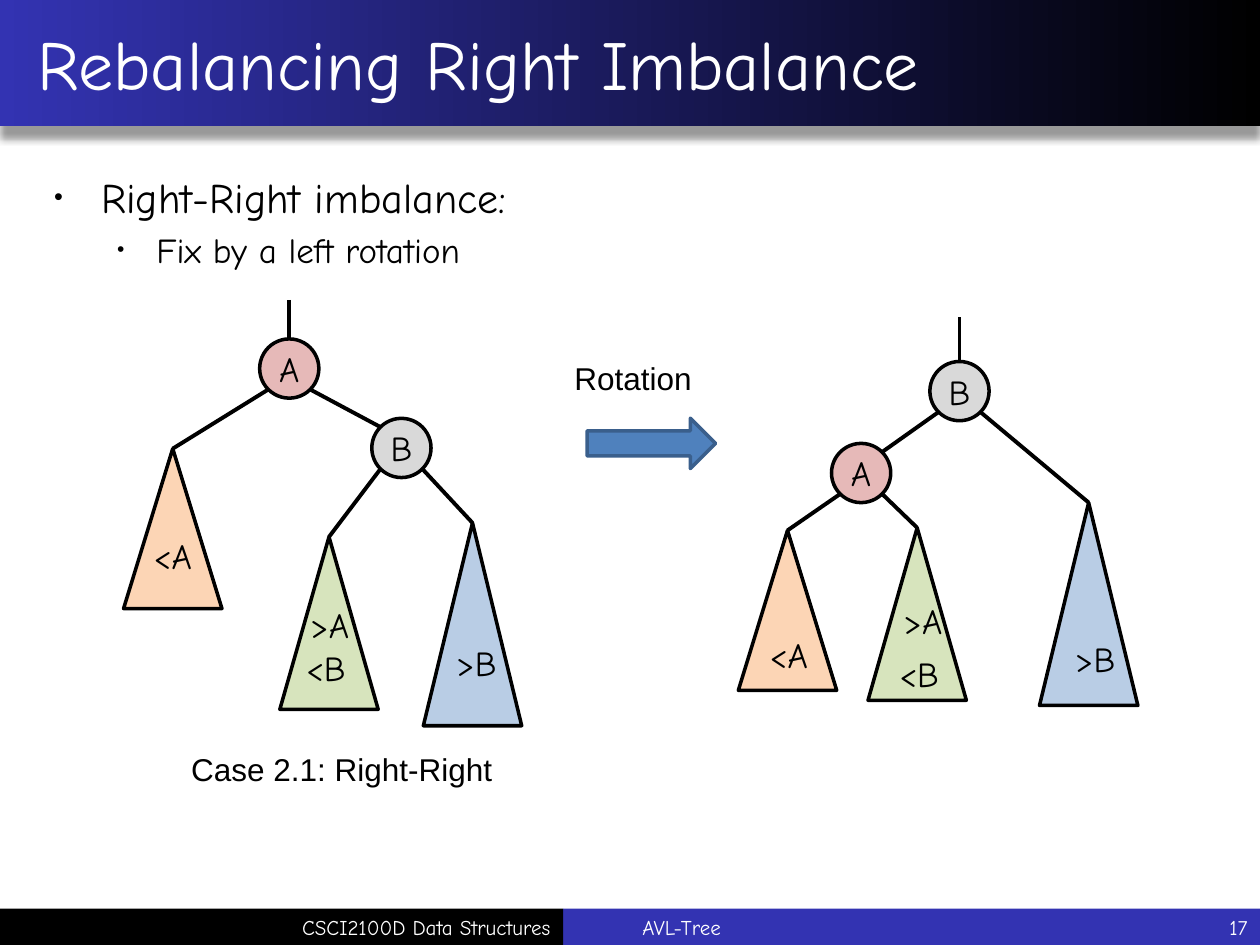
import math

import lxml.etree
import pptx
import pptx.dml.color
import pptx.enum.shapes
import pptx.enum.text
import pptx.oxml.ns
import pptx.util

Pt = pptx.util.Pt
qn = pptx.oxml.ns.qn
SHAPE = pptx.enum.shapes.MSO_SHAPE
ALIGN = pptx.enum.text.PP_ALIGN
ANCHOR = pptx.enum.text.MSO_ANCHOR
FIT = pptx.enum.text.MSO_AUTO_SIZE

COLORS = {"black": "000000", "white": "FFFFFF", "navy": "3333B2", "arrow": "4F81BD",
          "arrow_line": "3A5F8C", "A": "E6B9B8", "B": "D9D9D9",
          "low": "FCD5B5", "middle": "D7E4BD", "high": "B9CDE5"}
HAND = "Comic Neue"
NODE_SIZE = 33.84
SUBTREE_WIDTH = 56.2
SUBTREE_HEIGHTS = {"low": 91.4, "middle": 98.6, "high": 115.9}
LEFT_TREE = {
    "nodes": {"A": (94.7, 39.2), "B": (158.8, 84.6)},
    "root": "A",
    "inner_edge": ("A", "B", 1),
    "subtrees": [
        ("low", "A", -1, (28.1, 85), [("<A", -18, 45.4)]),
        ("middle", "B", -1, (117.4, 135.4), [("<B", -20.2, 59), (">A", -18, 34.6)]),
        ("high", "B", 1, (199.4, 127.4), [(">B", -16.6, 64.1)]),
    ],
}
RIGHT_TREE = {
    "nodes": {"A": (70.2, 88.9), "B": (126.4, 42.1)},
    "root": "B",
    "inner_edge": ("B", "A", -1),
    "subtrees": [
        ("low", "A", -1, (28.1, 121.7), [("<A", -17.3, 55.4)]),
        ("middle", "A", 1, (102.2, 120.2), [("<B", -17.3, 67.7), (">A", -15.1, 37.4)]),
        ("high", "B", 1, (200.2, 105.8), [(">B", -15.1, 73.4)]),
    ],
}


def color(name):
    """Return the named colour."""
    return pptx.dml.color.RGBColor.from_string(COLORS[name])


def apply(target, values):
    """Set each attribute of the target from a dict."""
    for name, value in values.items():
        setattr(target, name, value)


def write(paragraph, text, size, font=HAND, ink="black", **values):
    """Fill a paragraph with formatted text."""
    paragraph.text = text
    apply(paragraph, values)
    apply(paragraph.font, {"size": Pt(size), "name": font})
    paragraph.font.color.rgb = color(ink)


def add_text(shapes, box, text, size, font=HAND, ink="black", anchor=ANCHOR.TOP,
             fit=FIT.SHAPE_TO_FIT_TEXT, **values):
    """Add a one-paragraph text box."""
    frame = shapes.add_textbox(*map(Pt, box)).text_frame
    apply(frame, {"word_wrap": True, "auto_size": fit, "vertical_anchor": anchor})
    write(frame.paragraphs[0], text, size, font, ink, **values)


def add_filled(shapes, kind, box, fill, line=None):
    """Add a flat preset shape, outlined when a line colour is given."""
    shape = shapes.add_shape(kind, *map(Pt, box))
    shape.shadow.inherit = False
    shape.fill.solid()
    shape.fill.fore_color.rgb = color(fill)
    if line:
        shape.line.color.rgb = color(line)
        shape.line.width = Pt(2)
    else:
        shape.line.fill.background()
    return shape


def add_edge(shapes, start, end):
    """Add a straight black tree edge."""
    edge = shapes.add_connector(pptx.enum.shapes.MSO_CONNECTOR.STRAIGHT,
                                *map(Pt, (*start, *end)))
    edge.line.color.rgb = color("black")
    edge.line.width = Pt(2.25)
    lxml.etree.SubElement(edge._element.spPr, qn("a:effectLst"))
    return edge


def rim(center, side, direction):
    """Return the diagonal point on a node, side -1 left or 1 right, direction -1 up or 1 down."""
    offset = NODE_SIZE / 2 * math.sqrt(0.5)
    return center[0] + side * offset, center[1] + direction * offset


def add_header(slide, box, text):
    """Add the gradient banner and put the title on it."""
    banner = add_filled(slide.shapes, SHAPE.RECTANGLE, box, "black")
    banner.fill.gradient()
    banner.fill.gradient_angle = 180
    for stop, name in zip(banner.fill.gradient_stops, ("black", "navy")):
        stop.color.rgb = color(name)
    effects = banner._element.spPr.find(qn("a:effectLst"))
    shadow = lxml.etree.SubElement(effects, qn("a:outerShdw"), blurRad=str(Pt(4)),
                                   dist=str(Pt(7)), dir="5400000", rotWithShape="0")
    ink = lxml.etree.SubElement(shadow, qn("a:srgbClr"), val=COLORS["black"])
    lxml.etree.SubElement(ink, qn("a:alpha"), val="40000")

    title = slide.shapes.title
    slide.shapes._spTree.append(title._element)
    apply(title, dict(zip(("left", "top", "width", "height"), map(Pt, box))))
    apply(title.text_frame, {"vertical_anchor": ANCHOR.MIDDLE, "auto_size": FIT.NONE})
    paragraph = title.text_frame.paragraphs[0]
    paragraph._p.get_or_add_pPr().set("marL", str(Pt(14.4)))
    write(paragraph, text, 40, ink="white", alignment=ALIGN.LEFT)


def add_bullets(slide, box, items):
    """Add bullets given as text, size, level, margin, hanging indent and space before."""
    frame = slide.shapes.add_textbox(*map(Pt, box)).text_frame
    frame.word_wrap = True
    for index, (text, size, level, margin, hanging, before) in enumerate(items):
        paragraph = frame.add_paragraph() if index else frame.paragraphs[0]
        properties = paragraph._p.get_or_add_pPr()
        properties.set("marL", str(Pt(margin)))
        properties.set("indent", str(-Pt(hanging)))
        lxml.etree.SubElement(properties, qn("a:buSzPct"), val="60000")
        lxml.etree.SubElement(properties, qn("a:buFont"), typeface="Arial")
        lxml.etree.SubElement(properties, qn("a:buChar"), char="•")
        write(paragraph, text, size, level=level, space_before=Pt(before))


def add_tree(slide, box, tree):
    """Add a tree of two nodes and three subtrees, measured from the corner of its box."""
    shapes = slide.shapes.add_group_shape().shapes
    left, top = box
    centers = {name: (left + x, top + y) for name, (x, y) in tree["nodes"].items()}
    circles = {}
    for name, (x, y) in centers.items():
        circle = add_filled(shapes, SHAPE.OVAL, (x - NODE_SIZE / 2, y - NODE_SIZE / 2,
                                                 NODE_SIZE, NODE_SIZE), name, "black")
        apply(circle.text_frame, {"word_wrap": False, "vertical_anchor": ANCHOR.MIDDLE})
        write(circle.text_frame.paragraphs[0], name, 20, alignment=ALIGN.CENTER)
        circles[name] = circle

    root_x, root_y = centers[tree["root"]]
    stem = add_edge(shapes, (root_x, top), (root_x, root_y - NODE_SIZE / 2))
    stem.end_connect(circles[tree["root"]], 0)
    parent, child, side = tree["inner_edge"]
    add_edge(shapes, rim(centers[parent], side, 1), rim(centers[child], -side, -1))

    for kind, parent, side, (x, y), labels in tree["subtrees"]:
        apex = left + x, top + y
        add_edge(shapes, rim(centers[parent], side, 1), apex)
        add_filled(shapes, SHAPE.ISOSCELES_TRIANGLE,
                   (apex[0] - SUBTREE_WIDTH / 2, apex[1], SUBTREE_WIDTH, SUBTREE_HEIGHTS[kind]),
                   kind, "black")
        for text, shift, drop in labels:
            add_text(shapes, (apex[0] + shift, apex[1] + drop, 39.6, 31.5), text, 20)


def add_rotation(slide, box):
    """Add the labelled rotation arrow."""
    left, top, width, height = box
    shapes = slide.shapes.add_group_shape().shapes
    add_filled(shapes, SHAPE.RIGHT_ARROW, (left + 14.4, top + 37.4, 73.4, height - 37.4),
               "arrow", "arrow_line")
    add_text(shapes, (left, top, width, 29), "Rotation", 18, "Arial")


def add_footer(slide, box):
    """Add the two-colour footer with course, topic and page number."""
    left, top, width, height = box
    split = 321.8
    add_filled(slide.shapes, SHAPE.RECTANGLE, (left + split, top, width - split, height), "navy")
    add_filled(slide.shapes, SHAPE.RECTANGLE, (left, top, split, height), "black")
    for text, start, end, alignment in (
            ("CSCI2100D Data Structures", 0.7, split, ALIGN.RIGHT),
            ("AVL-Tree", 360, 677.5, ALIGN.LEFT),
            ("17", 630, width, ALIGN.RIGHT)):
        add_text(slide.shapes, (left + start, top, end - start, height), text, 12, ink="white",
                 anchor=ANCHOR.MIDDLE, fit=FIT.NONE, alignment=alignment)


def main():
    """Build and save the slide."""
    presentation = pptx.Presentation()
    apply(presentation, {"slide_width": Pt(720), "slide_height": Pt(540)})
    slide = presentation.slides.add_slide(presentation.slide_layouts[5])
    add_header(slide, (0, 0, 720, 72), "Rebalancing Right Imbalance")
    add_footer(slide, (0, 519.2, 720, 20.8))
    add_bullets(slide, (23.8, 94.3, 660, 70),
                [("Right-Right imbalance:", 24, 0, 27, 27, 0),
                 ("Fix by a left rotation", 20, 1, 58.5, 22.5, 4)])
    add_tree(slide, (70.6, 171.4), LEFT_TREE)
    add_text(slide.shapes, (102.2, 424.8, 220.3, 29), "Case 2.1: Right-Right", 18, "Arial")
    add_rotation(slide, (321.1, 201.6, 127.4, 66.2))
    add_tree(slide, (421.9, 181.4), RIGHT_TREE)
    presentation.save("out.pptx")


if __name__ == "__main__":
    main()
